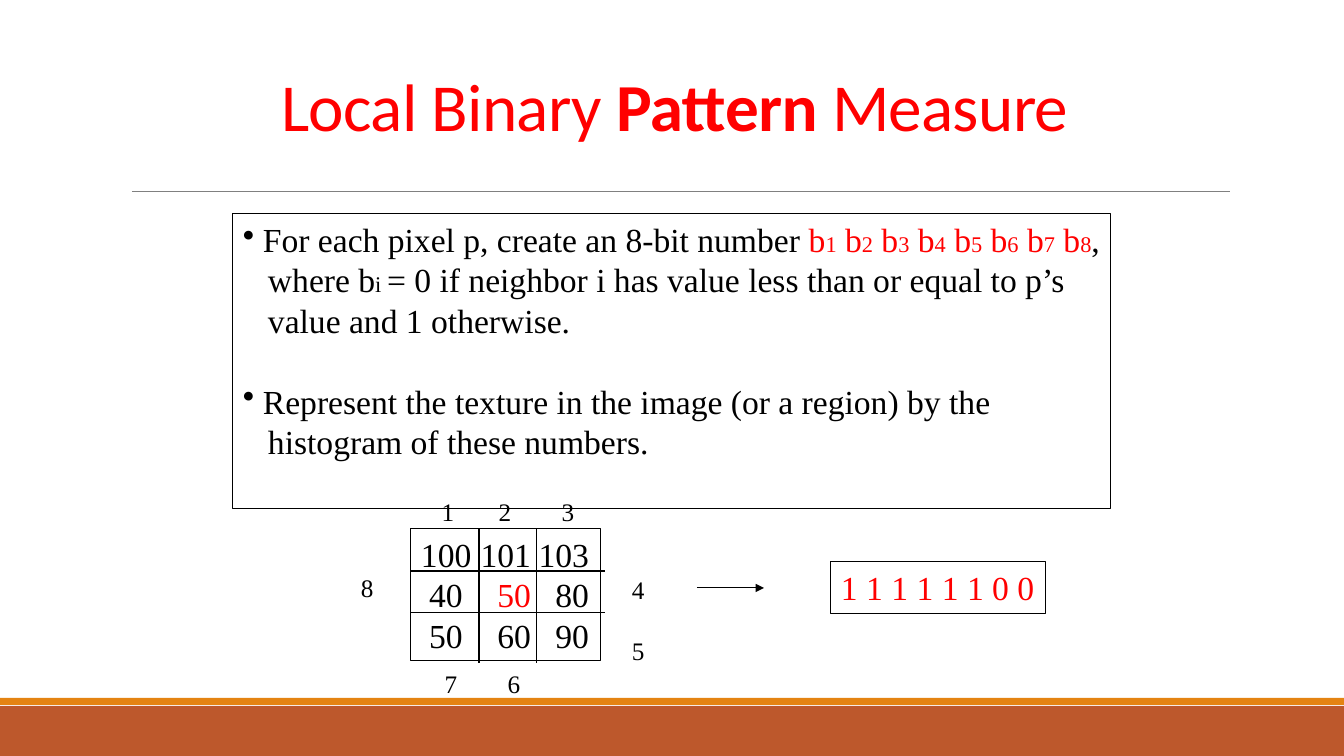
"""Build the slide on the local binary pattern measure."""
from dataclasses import dataclass

from lxml.etree import SubElement
from pptx import Presentation
from pptx.dml.color import RGBColor
from pptx.enum.shapes import MSO_CONNECTOR, MSO_SHAPE
from pptx.enum.text import MSO_ANCHOR, PP_ALIGN
from pptx.oxml.ns import qn
from pptx.util import Inches, Pt

SCALE = Inches(1) / 100.8


@dataclass(frozen=True)
class Theme:
    """Colours, fonts and type sizes."""
    black: str = "000000"
    red: str = "FF0000"
    grey: str = "808080"
    rust: str = "BD582C"
    amber: str = "E48312"
    sans: str = "Calibri"
    serif: str = "Times New Roman"
    head: int = 48
    body: int = 24
    label: int = 18
    small: int = 16


THEME = Theme()


def px(size):
    """Turn pixels into EMU."""
    return round(size * SCALE)


def tint(code):
    """Turn a hex code into a colour."""
    return RGBColor.from_string(code)


def add_box(slide, left, top, width, height, fill=None, line=None):
    """Add a rectangle with an optional fill and outline."""
    box = slide.shapes.add_shape(MSO_SHAPE.RECTANGLE, *map(px, (left, top, width, height)))
    box.shadow.inherit = False
    if fill:
        box.fill.solid()
        box.fill.fore_color.rgb = tint(fill)
    else:
        box.fill.background()
    if line:
        box.line.color.rgb = tint(line)
        box.line.width = Pt(0.75)
    else:
        box.line.fill.background()
    return set_frame(box)


def add_text(slide, left, top, width, height):
    """Add a bare text box."""
    return set_frame(slide.shapes.add_textbox(*map(px, (left, top, width, height))))


def set_frame(shape):
    """Set wrap, anchor and insets, and return the text frame."""
    frame = shape.text_frame
    frame.word_wrap = True
    frame.vertical_anchor = MSO_ANCHOR.TOP
    frame.margin_left, frame.margin_right = px(10), px(5)
    frame.margin_top = frame.margin_bottom = px(5)
    return frame


def add_line(slide, start, end, color=THEME.black, width=0.75, arrow=False):
    """Add a straight line, with an arrowhead if asked."""
    line = slide.shapes.add_connector(MSO_CONNECTOR.STRAIGHT, *map(px, start + end))
    line.line.color.rgb = tint(color)
    line.line.width = Pt(width)
    if arrow:
        SubElement(line.line._get_or_add_ln(), qn("a:tailEnd"), type="triangle")
    SubElement(line._element.spPr, qn("a:effectLst"))


def add_para(frame, runs, size, tabs=(), left=0, bullet=False, before=0, align=PP_ALIGN.LEFT):
    """Add a paragraph of (text, style) runs."""
    first = frame.paragraphs[0]
    para = frame.add_paragraph() if first.runs else first
    props = para._p.get_or_add_pPr()
    if left:
        props.set("marL", str(px(left)))
    if bullet:
        props.set("indent", str(-px(left)))
        SubElement(props, qn("a:buChar"), char="•")
    if tabs:
        stops = SubElement(props, qn("a:tabLst"))
        for spot, kind in tabs:
            SubElement(stops, qn("a:tab"), pos=str(px(spot)), algn=kind)
    para.alignment = align
    if before:
        para.space_before = Pt(before)
    for text, style in runs:
        run = para.add_run()
        run.text = text
        font = run.font
        font.name = style.get("font", THEME.serif)
        font.size = Pt(style.get("size", size))
        font.bold = style.get("bold", False)
        font.color.rgb = tint(style.get("color", THEME.black))
    return para


def add_title(slide):
    """Add the title and its rule."""
    frame = add_text(slide, 121, 31, 1103, 160)
    frame.vertical_anchor = MSO_ANCHOR.MIDDLE
    look = {"font": THEME.sans, "color": THEME.red}
    runs = [("Local Binary ", look), ("Pattern", look | {"bold": True}), (" Measure", look)]
    para = add_para(frame, runs, THEME.head, align=PP_ALIGN.CENTER)
    para.line_spacing = 0.85
    for run in para.runs:
        run.font._element.set("spc", "-50")
    add_line(slide, (132, 191), (1230, 191), THEME.grey, 0.5)


def add_body(slide):
    """Add the framed bullet text."""
    frame = add_box(slide, 233, 214, 878, 295, line=THEME.black)
    red, small = {"color": THEME.red}, {"size": THEME.small}
    bits = [("For each pixel p, create an 8-bit number ", {})]
    for bit in range(1, 9):
        bits += [("b" if bit == 1 else " b", red), (str(bit), red | small)]
    bits.append((",", {}))
    rule = [("where b", {}), ("i ", small),
            ("= 0 if neighbor i has value less than or equal to p’s", {})]
    add_para(frame, bits, THEME.body, left=20, bullet=True)
    add_para(frame, rule, THEME.body, left=25)
    add_para(frame, [("value and 1 otherwise.", {})], THEME.body, left=25)
    add_para(frame, [("Represent the texture in the image (or a region) by the", {})],
             THEME.body, left=20, bullet=True, before=29)
    add_para(frame, [("histogram of these numbers.", {})], THEME.body, left=25)


def add_grid(slide):
    """Add the pixel grid with its inner lines."""
    frame = add_box(slide, 411, 529, 190, 132, line=THEME.black)
    tabs = ((25, "ctr"), (110, "r"), (168, "r"))
    for row in ((100, 101, 103), (40, 50, 80), (50, 60, 90)):
        runs = [(f"\t{cell}", {"color": THEME.red} if (row[0], cell) == (40, 50) else {})
                for cell in row]
        add_para(frame, runs, THEME.body, tabs)
    for step in range(2):
        across, down = 479 + 58 * step, 571 + 42 * step
        add_line(slide, (across, 529), (across, 663))
        add_line(slide, (411, down), (605, down))


def add_labels(slide):
    """Add the neighbor numbers around the grid."""
    rows = (((418, 491, 166, 40), "123", (20, 77, 140)),
            ((428, 663, 102, 40), "76", (13, 76)))
    for place, marks, spots in rows:
        runs = [(f"\t{mark}", {}) for mark in marks]
        add_para(add_text(slide, *place), runs, THEME.label, [(spot, "ctr") for spot in spots])
    side = add_text(slide, 622, 569, 33, 101)
    add_para(side, [("4", {})], THEME.label)
    add_para(side, [("5", {})], THEME.label, before=22)
    add_para(add_text(slide, 351, 567, 33, 40), [("8", {})], THEME.label)


def add_code(slide):
    """Add the arrow and the resulting bits."""
    add_line(slide, (697, 588), (764, 588), arrow=True)
    frame = add_box(slide, 831, 562, 215, 52, line=THEME.black)
    add_para(frame, [("1 1 1 1 1 1 0 0", {"color": THEME.red})], THEME.body)


def main():
    """Build and save the slide."""
    deck = Presentation()
    deck.slide_width, deck.slide_height = px(1344), px(756)
    slide = deck.slides.add_slide(deck.slide_layouts[6])
    add_box(slide, 0, 706, 1344, 50, fill=THEME.rust)
    add_box(slide, 0, 698, 1344, 7, fill=THEME.amber)
    add_title(slide)
    add_body(slide)
    add_grid(slide)
    add_labels(slide)
    add_code(slide)
    deck.save("out.pptx")


if __name__ == "__main__":
    main()
